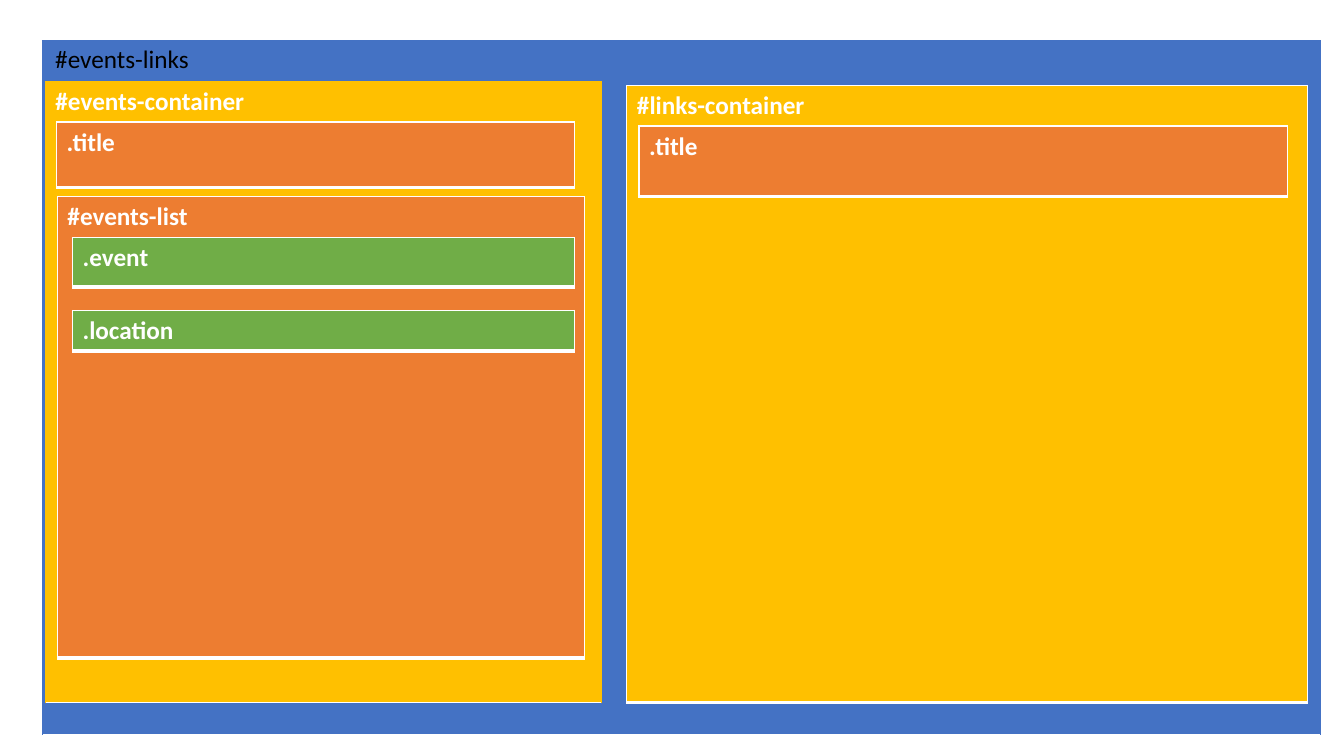
from dataclasses import dataclass
from lxml.etree import SubElement
from pptx import Presentation
from pptx.dml.color import RGBColor
from pptx.enum.text import MSO_AUTO_SIZE
from pptx.oxml.ns import qn
from pptx.util import Pt


@dataclass(frozen=True)
class Theme:
    font: str = "Calibri"
    size: int = 18
    black: str = "000000"
    white: str = "FFFFFF"
    blue: str = "4472C4"
    gold: str = "FFC000"
    orange: str = "ED7D31"
    green: str = "70AD47"


T = Theme()


def style_text(tf, text, color, bold):
    tf.text = text
    p = tf.paragraphs[0]
    p.font.size = Pt(T.size)
    for r in p.runs:
        r.font.name = T.font
        r.font.size = Pt(T.size)
        r.font.bold = bold
        r.font.color.rgb = RGBColor.from_string(color)


def set_borders(cell, color, side_width, bottom_width):
    tcPr = cell._tc.get_or_add_tcPr()
    for i, side in enumerate("LRTB"):
        bottom = side == "B"
        width = Pt(bottom_width if bottom else side_width)
        ln = SubElement(tcPr, qn(f"a:ln{side}"), w=str(int(width)))
        tcPr.insert(i, ln)
        fill = SubElement(ln, qn("a:solidFill"))
        SubElement(fill, qn("a:srgbClr"), val=T.white if bottom else color)


def add_block(s, box, text, fill, edge=T.white, side_width=1, bottom_width=3):
    x, y, w, h = box
    table = s.shapes.add_table(1, 1, Pt(x), Pt(y), Pt(w), Pt(h)).table
    table.first_row = False
    table.horz_banding = False
    cell = table.cell(0, 0)
    cell.fill.solid()
    cell.fill.fore_color.rgb = RGBColor.from_string(fill)
    style_text(cell.text_frame, text, T.white, True)
    set_borders(cell, edge, side_width, bottom_width)


def within(box, dx, dy, w, h):
    return box[0] + dx, box[1] + dy, w, h


def add_events_list(s, box):
    add_block(s, box, "#events-list", T.orange)
    for text, dy, h in ((".event", 29.5, 35.3), (".location", 81.4, 28.8)):
        add_block(s, within(box, 10.8, dy, 358.6, h), text, T.green)


def add_events_container(s, box):
    add_block(s, box, "#events-container", T.gold, T.gold, 0.5, 1)
    add_block(s, within(box, 7.9, 28.8, 370, 46.8), ".title", T.orange)
    add_events_list(s, within(box, 8.6, 82.1, 376.6, 329.8))


def add_links_container(s, box):
    add_block(s, box, "#links-container", T.gold)
    add_block(s, within(box, 8.7, 28.8, 463, 50.4), ".title", T.orange)


def add_events_links(s, box):
    add_block(s, box, "", T.blue, T.blue, 0.5, 1)
    x, y, w, h = within(box, 2.2, -1.4, 113, 28.8)
    tf = s.shapes.add_textbox(Pt(x), Pt(y), Pt(w), Pt(h)).text_frame
    tf.word_wrap = False
    tf.auto_size = MSO_AUTO_SIZE.SHAPE_TO_FIT_TEXT
    style_text(tf, "#events-links", T.black, False)
    add_events_container(s, within(box, 2.2, 29.5, 397.4, 443.5))
    add_links_container(s, within(box, 417.6, 32.4, 486, 440.6))


prs = Presentation()
prs.slide_width = Pt(960)
prs.slide_height = Pt(540)
s = prs.slides.add_slide(prs.slide_layouts[6])
add_events_links(s, (30.2, 28.8, 913, 496))
prs.save("out.pptx")
